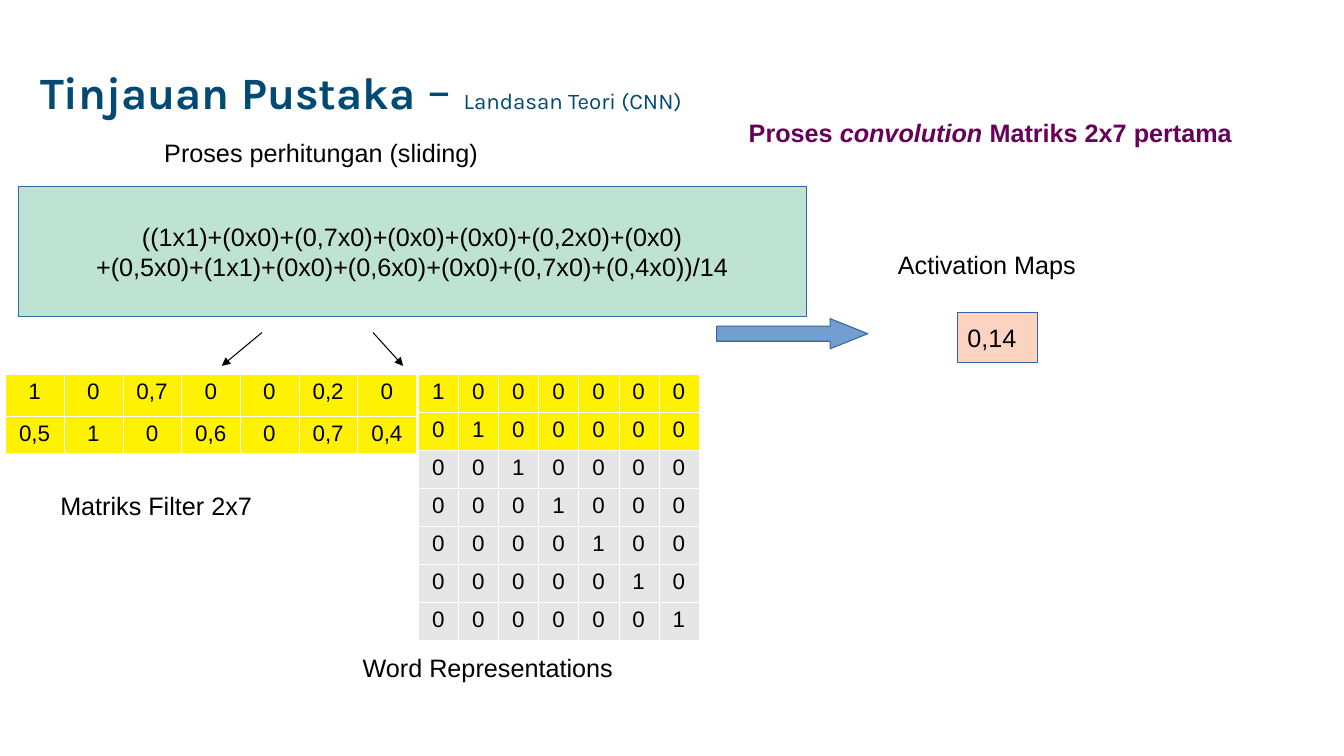
import pptx
import pptx.dml.color
import pptx.enum.shapes
import pptx.enum.text
import pptx.oxml
import pptx.oxml.ns
import pptx.util

Cm = pptx.util.Cm
Pt = pptx.util.Pt
RGBColor = pptx.dml.color.RGBColor
Align = pptx.enum.text.PP_ALIGN
Anchor = pptx.enum.text.MSO_ANCHOR
Preset = pptx.enum.shapes.MSO_SHAPE

BLACK = RGBColor(0x00, 0x00, 0x00)
NAVY = RGBColor(0x01, 0x4A, 0x73)
PURPLE = RGBColor(0x68, 0x00, 0x59)
MINT = RGBColor(0xBE, 0xE3, 0xD3)
PEACH = RGBColor(0xFC, 0xD3, 0xC1)
SKY = RGBColor(0x72, 0x9F, 0xCF)
STEEL = RGBColor(0x34, 0x65, 0xA4)
YELLOW = RGBColor(0xFF, 0xF2, 0x00)
GREY = RGBColor(0xE6, 0xE6, 0xE6)

BORDER = ('<a:{side} xmlns:a="http://schemas.openxmlformats.org/drawingml/2006/main" w="762">'
          '<a:solidFill><a:srgbClr val="FFFFFF"/></a:solidFill></a:{side}>')


class SlideWriter:
    """Draw styled elements on the current slide."""

    def __init__(self, slide, font="Arial", size=18, color=BLACK):
        self.shapes = slide.shapes
        self.font, self.size, self.color = font, size, color

    def span(self, para, text, size=None, bold=False, italic=False, font=None, color=None):
        span = para.add_run()
        span.text = text
        span.font.name = font or self.font
        span.font.size = Pt(size or self.size)
        span.font.bold = bold
        span.font.italic = italic
        span.font.color.rgb = color or self.color

    def text(self, place, spans, anchor=Anchor.TOP, spacing=None, **style):
        box = self.shapes.add_textbox(*map(Cm, place))
        frame = box.text_frame
        frame.word_wrap = True
        frame.vertical_anchor = anchor
        para = frame.paragraphs[0]
        para.line_spacing = spacing
        for text, changes in spans:
            self.span(para, text, **{**style, **changes})

    def shape(self, preset, place, fill, lines=(), align=Align.LEFT):
        shape = self.shapes.add_shape(preset, *map(Cm, place))
        shape.shadow.inherit = False
        shape.fill.solid()
        shape.fill.fore_color.rgb = fill
        shape.line.color.rgb = STEEL
        shape.line.width = Pt(0.75)
        frame = shape.text_frame
        frame.word_wrap = False
        frame.vertical_anchor = Anchor.MIDDLE
        for index, line in enumerate(lines):
            para = frame.add_paragraph() if index else frame.paragraphs[0]
            para.alignment = align
            self.span(para, line)
        return shape

    def arrow(self, start, end):
        line = self.shapes.add_connector(
            pptx.enum.shapes.MSO_CONNECTOR.STRAIGHT, *map(Cm, start + end))
        line.line.color.rgb = BLACK
        line.line.width = Pt(0.75)
        tip = pptx.oxml.ns.qn("a:tailEnd")
        line.line._get_or_add_ln().makeelement(tip)
        pptx.oxml.xmlchemy.OxmlElement("a:tailEnd")
        head = pptx.oxml.xmlchemy.OxmlElement("a:tailEnd")
        head.set("type", "triangle")
        line.line._get_or_add_ln().append(head)
        line._element.spPr.append(pptx.oxml.xmlchemy.OxmlElement("a:effectLst"))

    def matrix(self, left, top, column_width, row_heights, values, fills):
        count = len(values[0])
        table = self.shapes.add_table(
            len(values), count, Cm(left), Cm(top),
            Cm(column_width * count), Cm(sum(row_heights))).table
        for column in table.columns:
            column.width = Cm(column_width)
        for row, height, numbers, fill in zip(table.rows, row_heights, values, fills):
            row.height = Cm(height)
            for cell, number in zip(row.cells, numbers):
                cell.fill.solid()
                cell.fill.fore_color.rgb = fill
                properties = cell._tc.get_or_add_tcPr()
                for index, side in enumerate(("lnL", "lnR", "lnT", "lnB")):
                    properties.insert(index, pptx.oxml.parse_xml(BORDER.format(side=side)))
                para = cell.text_frame.paragraphs[0]
                para.alignment = Align.CENTER
                self.span(para, number, size=16)


def main():
    deck = pptx.Presentation()
    deck.slide_width, deck.slide_height = Cm(33.87), Cm(19.05)
    page = SlideWriter(deck.slides.add_slide(deck.slide_layouts[6]))

    page.text((0.76, 0.51, 19.05, 3.68),
              [("Tinjauan Pustaka", {"size": 32, "bold": True}),
               (" – ", {"size": 36}),
               ("Landasan Teori (CNN)", {"size": 16})],
              anchor=Anchor.MIDDLE, spacing=0.9, font="Karla", color=NAVY)

    identity = [["1" if row == column else "0" for column in range(7)] for row in range(7)]
    page.matrix(10.54, 9.42, 1.01, [0.96] * 7, identity, [YELLOW] * 2 + [GREY] * 5)
    weights = ["1 0 0,7 0 0 0,2 0".split(), "0,5 1 0 0,6 0 0,7 0,4".split()]
    page.matrix(0.13, 9.42, 1.48, [1.06, 0.94], weights, [YELLOW] * 2)

    page.shape(Preset.RECTANGLE, (0.46, 4.7, 19.86, 3.28), MINT,
               ["((1x1)+(0x0)+(0,7x0)+(0x0)+(0x0)+(0,2x0)+(0x0)",
                "+(0,5x0)+(1x1)+(0x0)+(0,6x0)+(0x0)+(0,7x0)+(0,4x0))/14"], Align.CENTER)
    result_arrow = page.shape(Preset.RIGHT_ARROW, (18.06, 8.03, 3.81, 0.76), SKY)
    result_arrow.adjustments[1] = 1.25
    page.shape(Preset.RECTANGLE, (24.13, 7.87, 2.01, 1.27), PEACH, ["0,14"])

    for left, top, width, label in (
            (1.27, 12.24, 6.5, "Matriks Filter 2x7"),
            (8.89, 16.31, 8.13, "Word Representations"),
            (3.89, 3.33, 9.88, "Proses perhitungan (sliding)"),
            (22.38, 6.15, 5.92, "Activation Maps")):
        page.text((left, top, width, 0.97), [(label, {})])

    page.arrow((6.6, 8.38), (5.59, 9.22))
    page.arrow((9.4, 8.38), (10.16, 9.22))

    page.text((18.62, 2.84, 15.2, 1.68),
              [("Proses ", {}), ("convolution", {"italic": True}),
               (" Matriks 2x7 pertama", {})], bold=True, color=PURPLE)

    deck.save("out.pptx")


if __name__ == "__main__":
    main()
